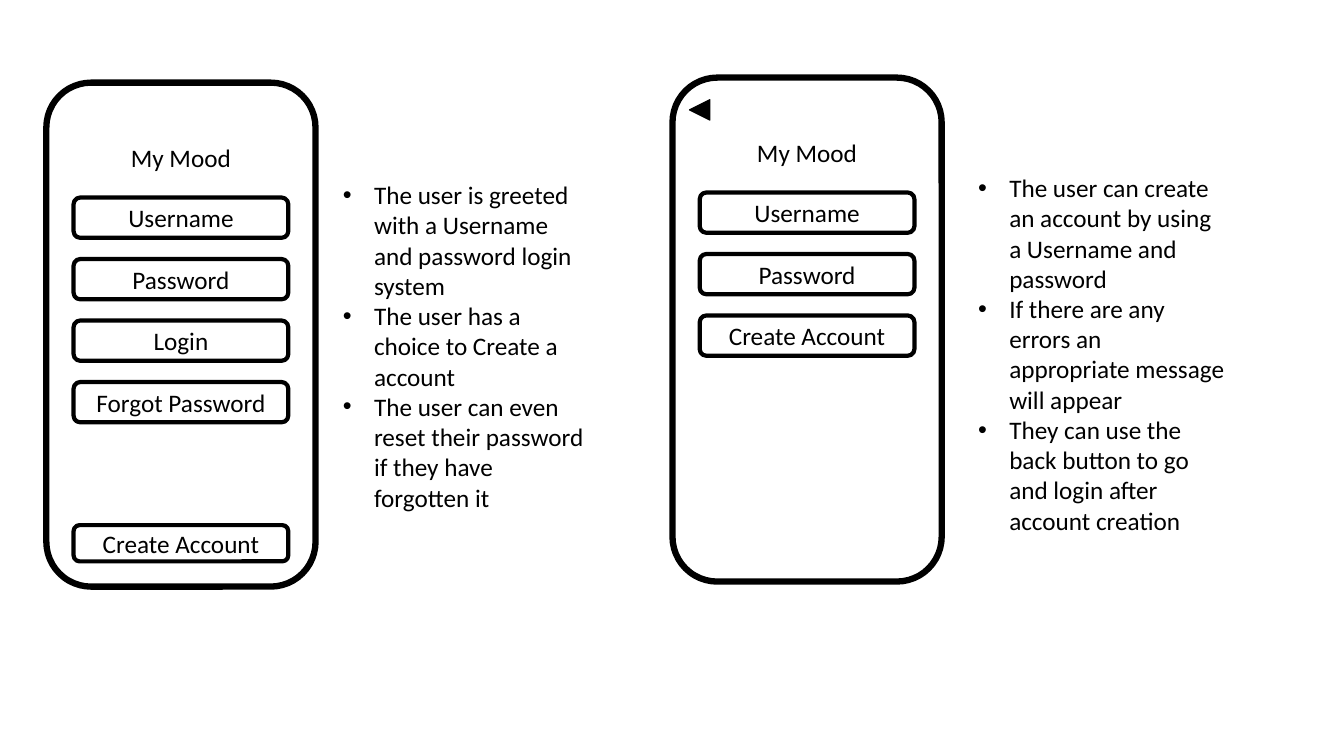
from lxml import etree
from pptx import Presentation
from pptx.dml.color import RGBColor
from pptx.enum.shapes import MSO_SHAPE
from pptx.enum.text import MSO_ANCHOR, MSO_AUTO_SIZE, PP_ALIGN
from pptx.oxml.ns import qn
from pptx.util import Inches, Pt

ROUNDED = MSO_SHAPE.ROUNDED_RECTANGLE
TRIANGLE = MSO_SHAPE.ISOSCELES_TRIANGLE
MIDDLE, TOP = MSO_ANCHOR.MIDDLE, MSO_ANCHOR.TOP
CENTER, LEFT = PP_ALIGN.CENTER, PP_ALIGN.LEFT
NO_AUTOFIT = MSO_AUTO_SIZE.NONE

BLACK, WHITE = "000000", "FFFFFF"
PHONE_W, PHONE_H = 2.67, 5
FIELD_W, FIELD_H, FIELD_STEP = 2.13, 0.4, 0.61
FIELD_X, FIRST_FIELD_Y = 0.27, 1.14
INDENT = 0.31


def paint(color_format, hex_color):
    color_format.rgb = RGBColor.from_string(hex_color)


def inches(*lengths):
    return [Inches(length) for length in lengths]


def write(frame, *paragraphs, size=18, font="Calibri", color=BLACK,
          align=LEFT, anchor=TOP, wrap=True, bullet=None):
    frame.word_wrap = wrap
    frame.auto_size = NO_AUTOFIT
    frame.vertical_anchor = anchor
    for index, text in enumerate(paragraphs):
        paragraph = frame.add_paragraph() if index else frame.paragraphs[0]
        paragraph.alignment = align
        paragraph.line_spacing = 1.0
        paragraph.space_before = paragraph.space_after = Pt(0)
        run = paragraph.add_run()
        run.text = text
        run.font.size = Pt(size)
        run.font.name = font
        paint(run.font.color, color)
        if bullet:
            properties = paragraph._p.get_or_add_pPr()
            properties.set("marL", str(Inches(INDENT)))
            properties.set("indent", str(-Inches(INDENT)))
            etree.SubElement(properties, qn("a:buFont")).set("typeface", "Arial")
            etree.SubElement(properties, qn("a:buChar")).set("char", bullet)


def outlined(shapes, preset, box, line_width, fill=WHITE):
    shape = shapes.add_shape(preset, *inches(*box))
    shape.shadow.inherit = False
    shape.fill.solid()
    paint(shape.fill.fore_color, fill)
    paint(shape.line.color, BLACK)
    shape.line.width = Pt(line_width)
    return shape


def add_field(shapes, label, x, y, height=FIELD_H):
    field = outlined(shapes, ROUNDED, (x, y, FIELD_W, height), 3)
    write(field.text_frame, label, align=CENTER, anchor=MIDDLE)


def add_phone(slide, x, y, fields, footer=None, back_button=False):
    screen = slide.shapes.add_group_shape().shapes
    outlined(screen, ROUNDED, (x, y, PHONE_W, PHONE_H), 4.5)
    app_name = screen.add_textbox(*inches(x + 0.74, y + 0.54, 1.2, 0.4))
    write(app_name.text_frame, "My Mood", wrap=False)
    for row, label in enumerate(fields):
        add_field(screen, label, x + FIELD_X, y + FIRST_FIELD_Y + row * FIELD_STEP)
    if footer:
        add_field(screen, footer, x + FIELD_X, y + 4.39, height=0.36)
    if back_button:
        back = outlined(screen, TRIANGLE, (x + 0.17, y + 0.22, 0.2, 0.2), 1, fill=BLACK)
        back.rotation = 270


def fill_notes(body, box, points):
    body.left, body.top, body.width, body.height = inches(*box)
    write(body.text_frame, *points, bullet="•")


def build_wireframes(presentation):
    slide = presentation.slides.add_slide(presentation.slide_layouts[3])
    title, login_notes, signup_notes = slide.placeholders
    title.element.getparent().remove(title.element)
    add_phone(slide, 0.46, 0.82,
              ["Username", "Password", "Login", "Forgot Password"],
              footer="Create Account")
    fill_notes(login_notes, (3.3, 1.73, 2.67, 3.43), [
        "The user is greeted with a Username and password login system",
        "The user has a choice to Create a account",
        "The user can even reset their password if they have forgotten it",
    ])
    add_phone(slide, 6.67, 0.77,
              ["Username", "Password", "Create Account"], back_button=True)
    fill_notes(signup_notes, (9.6, 1.66, 2.67, 3.74), [
        "The user can create an account by using a Username and password",
        "If there are any errors an appropriate message will appear",
        "They can use the back button to go and login after account creation",
    ])


presentation = Presentation()
presentation.slide_width, presentation.slide_height = inches(13.33, 7.5)
build_wireframes(presentation)
presentation.save("out.pptx")
